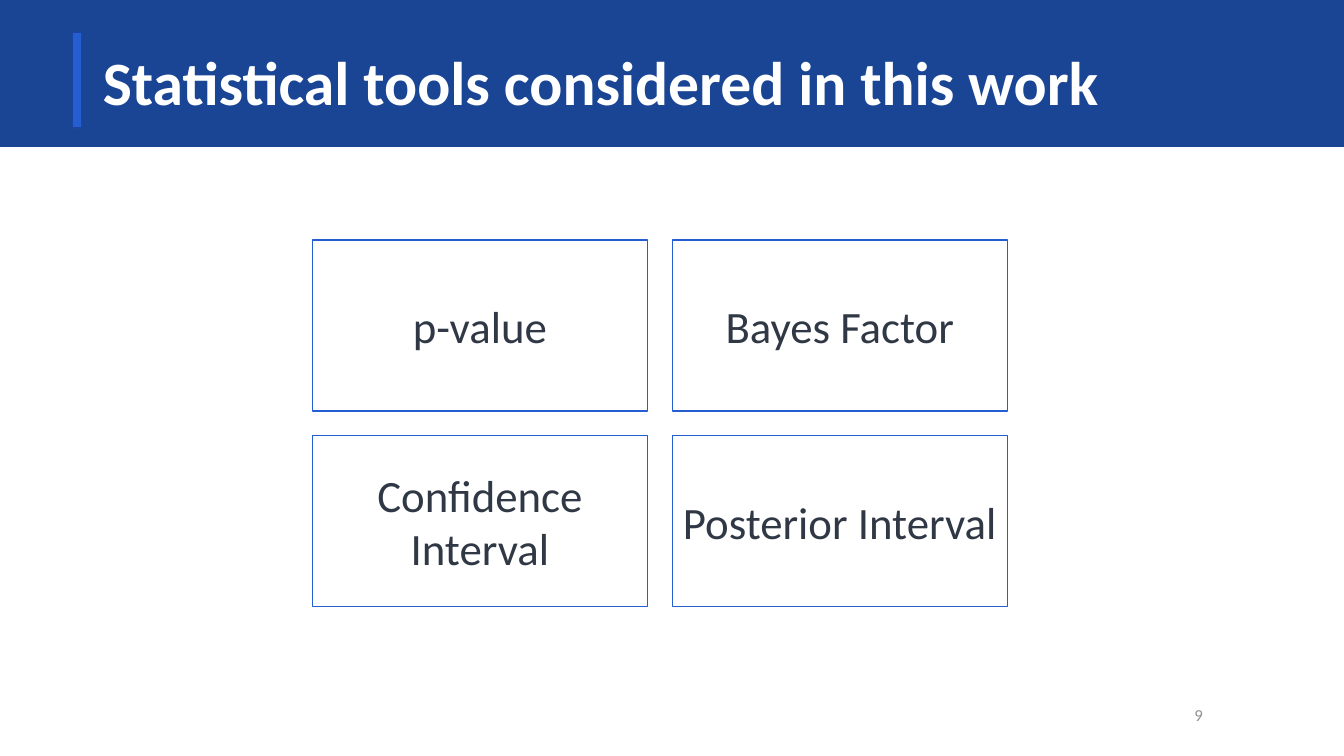
from dataclasses import dataclass
from typing import Any, Optional

from pptx import Presentation
from pptx.dml.color import RGBColor
from pptx.enum.shapes import MSO_SHAPE
from pptx.enum.text import MSO_ANCHOR, MSO_AUTO_SIZE, PP_ALIGN
from pptx.util import Inches, Pt

COLOURS = {
    "band": "1A4595",
    "accent": "255ED3",
    "accent_edge": "1B469C",
    "white": "FFFFFF",
    "text": "303845",
    "number": "8F9194",
}
FONT = "Calibri"


@dataclass(frozen=True)
class Panel:
    left: float
    top: float
    width: float
    height: float
    fill: Optional[str]
    line: str
    text: str = ""


@dataclass(frozen=True)
class TextStyle:
    size: int
    colour: str
    align: PP_ALIGN
    bold: bool = False
    line_spacing: float = 1.0


TITLE_STYLE = TextStyle(44, "white", PP_ALIGN.LEFT, bold=True, line_spacing=0.9)
TOOL_STYLE = TextStyle(32, "text", PP_ALIGN.CENTER)
NUMBER_STYLE = TextStyle(12, "number", PP_ALIGN.RIGHT)

HEADER = [
    Panel(0, 0, 13.33, 1.45, "band", "band"),
    Panel(0.72, 0.32, 0.09, 0.95, "accent", "accent_edge"),
]

TOOLS = [
    [("p-value", None), ("Bayes Factor", "white")],
    [("Confidence Interval", "white"), ("Posterior Interval", None)],
]
GRID_LEFT, GRID_TOP = 3.1, 2.38
TOOL_WIDTH, TOOL_HEIGHT = 3.32, 1.7
GAP_X, GAP_Y = 0.25, 0.24


def rgb(name: str) -> RGBColor:
    return RGBColor.from_string(COLOURS[name])


def place(box: Any, left: float, top: float, width: float, height: float) -> None:
    box.left, box.top = Inches(left), Inches(top)
    box.width, box.height = Inches(width), Inches(height)


def write(box: Any, text: str, style: TextStyle) -> None:
    frame = box.text_frame
    frame_format = {
        "word_wrap": True,
        "auto_size": MSO_AUTO_SIZE.NONE,
        "vertical_anchor": MSO_ANCHOR.MIDDLE,
        "margin_left": Inches(0.1),
        "margin_right": Inches(0.1),
    }
    for name, value in frame_format.items():
        setattr(frame, name, value)
    para = frame.paragraphs[0]
    para.alignment = style.align
    para.line_spacing = style.line_spacing
    span = para.add_run()
    span.text = text
    font_format = {"name": FONT, "size": Pt(style.size), "bold": style.bold}
    for name, value in font_format.items():
        setattr(span.font, name, value)
    span.font.color.rgb = rgb(style.colour)


def draw_panel(page: Any, panel: Panel) -> Any:
    bounds = (panel.left, panel.top, panel.width, panel.height)
    box = page.shapes.add_shape(MSO_SHAPE.RECTANGLE, *map(Inches, bounds))
    box.shadow.inherit = False
    if panel.fill is None:
        box.fill.background()
    else:
        box.fill.solid()
        box.fill.fore_color.rgb = rgb(panel.fill)
    box.line.color.rgb = rgb(panel.line)
    box.line.width = Pt(1)
    if panel.text:
        write(box, panel.text, TOOL_STYLE)
    return box


def draw_header(page: Any) -> None:
    """Draw the band and accent bar behind the title placeholder."""
    title = page.shapes.title
    place(title, 0.92, 0.32, 11.5, 1.05)
    write(title, "Statistical tools considered in this work", TITLE_STYLE)
    for panel in HEADER:
        title.element.addprevious(draw_panel(page, panel).element)


def draw_tools(page: Any) -> None:
    for row, tools in enumerate(TOOLS):
        for column, (text, fill) in enumerate(tools):
            left = GRID_LEFT + column * (TOOL_WIDTH + GAP_X)
            top = GRID_TOP + row * (TOOL_HEIGHT + GAP_Y)
            draw_panel(page, Panel(left, top, TOOL_WIDTH, TOOL_HEIGHT, fill, "accent", text))


def main() -> None:
    deck = Presentation()
    deck.slide_width, deck.slide_height = Inches(13.33), Inches(7.5)
    page = deck.slides.add_slide(deck.slide_layouts.get_by_name("Title Only"))
    draw_header(page)
    draw_tools(page)
    number = page.shapes.add_textbox(*map(Inches, (11.45, 6.89, 0.58, 0.4)))
    write(number, "9", NUMBER_STYLE)
    deck.save("out.pptx")


if __name__ == "__main__":
    main()
